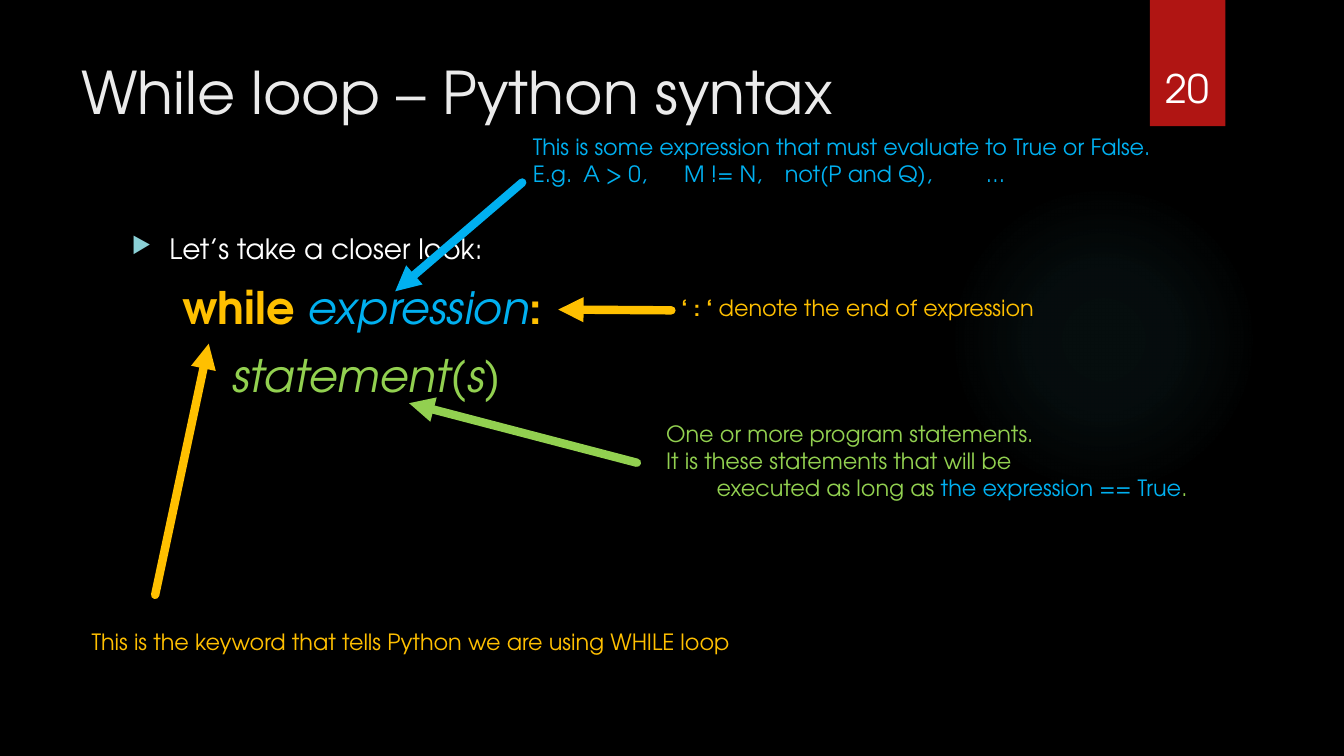
"""Build the slide that explains the syntax of the Python while loop."""
from lxml.etree import SubElement
from pptx import Presentation
from pptx.dml.color import RGBColor
from pptx.enum.shapes import MSO_CONNECTOR, MSO_SHAPE
from pptx.enum.text import MSO_ANCHOR, PP_ALIGN
from pptx.oxml import parse_xml
from pptx.oxml.ns import nsdecls, qn
from pptx.util import Cm, Pt

FONT = "TeX Gyre Adventor"
BLACK, WHITE, TITLE, RED = "000000", "FFFFFF", "EBEBEB", "B01513"
GOLD, BLUE, GREEN = "FFC000", "00B0F0", "92D050"
GLOW, BULLET = "50B9C1", "8AD0D6"
GLOW_STOPS = [(0, 7), (36, 6), (69, 0)]
TAB_STOPS = [1.27, 3.81, 6.35, 11.43]
GLOW_BOX = (23.9, 4.65, 7.82, 7.82)
BADGE_BOX = (28.98, 0, 1.9, 3.18)

# box, size, paragraphs of (indent, runs of (text, colour, style))
TITLE_TEXT = ((1.8, 1.27, 26.14, 3.89), 42, [(0, [("While loop – Python syntax", TITLE, "")])])
NUMBER_TEXT = ((28.75, 0.81, 2.34, 2.13), 28, [(0, [("20", WHITE, "")])])
BODY_TEXT = ((3.07, 5.72, 24.84, 11.66), 32, [
    (0.95, [("Let’s take a closer look:", WHITE, "")]),
    (1.27, [("while ", GOLD, "b"), ("expression", BLUE, "i"), (":", GOLD, "b")]),
    (2.54, [("statement(s)", GREEN, "i")]),
])
NOTES = [
    ((2.06, 15.7, 16.89, 0.94), 16, [
        (0, [("This is the keyword that tells Python we are using WHILE loop", GOLD, "")]),
    ]),
    ((13.18, 3.23, 16.36, 1.63), 16, [
        (0, [("This is some expression that must evaluate to True or False.", BLUE, "")]),
        (0, [("E.g. \tA > 0, \tM != N,\tnot(P and Q), \t…", BLUE, "")]),
    ]),
    ((16.54, 10.46, 14.12, 2.31), 16, [
        (0, [("One or more program statements.", GREEN, "")]),
        (0, [("It is these statements that will be", GREEN, "")]),
        (1.27, [("executed as long as ", GREEN, ""), ("the expression == True", BLUE, ""),
                (".", GREEN, "")]),
    ]),
    ((16.92, 7.29, 9.73, 0.94), 16, [
        (0, [("‘ : ‘", GOLD, "b"), (" denote the end of expression", GOLD, "")]),
    ]),
]
ARROWS = [
    ((3.91, 14.99), (5.26, 8.66), GOLD),
    ((16.05, 11.66), (10.31, 10.16), GREEN),
    ((13.16, 4.6), (9.96, 7.34), BLUE),
    ((16.92, 7.82), (14.07, 7.8), GOLD),
]


def paint(color_format, color):
    color_format.rgb = RGBColor.from_string(color)


def add_plain_shape(slide, kind, box):
    s = slide.shapes.add_shape(kind, *map(Cm, box))
    s.shadow.inherit = False
    s.line.fill.background()
    return s


def add_glow(slide):
    s = add_plain_shape(slide, MSO_SHAPE.OVAL, GLOW_BOX)
    stops = "".join(
        f'<a:gs pos="{pos * 1000}"><a:srgbClr val="{GLOW}">'
        f'<a:alpha val="{alpha * 1000}"/></a:srgbClr></a:gs>'
        for pos, alpha in GLOW_STOPS)
    s._element.spPr.insert(2, parse_xml(
        f'<a:gradFill {nsdecls("a")}><a:gsLst>{stops}</a:gsLst><a:path path="circle">'
        '<a:fillToRect l="50000" t="50000" r="50000" b="50000"/></a:path></a:gradFill>'))


def add_text(slide, box, size, paragraphs):
    tf = slide.shapes.add_textbox(*map(Cm, box)).text_frame
    tf.word_wrap = True
    for i, (indent, runs) in enumerate(paragraphs):
        p = tf.paragraphs[0] if i == 0 else tf.add_paragraph()
        p._p.get_or_add_pPr().set("marL", str(Cm(indent)))
        for text, color, style in runs:
            r = p.add_run()
            r.text = text
            r.font.name, r.font.size = FONT, Pt(size)
            r.font.bold, r.font.italic = style == "b", style == "i"
            paint(r.font.color, color)
    return tf


def add_bullet(p):
    pPr = p._p.get_or_add_pPr()
    pPr.set("indent", "-" + pPr.get("marL"))
    SubElement(SubElement(pPr, qn("a:buClr")), qn("a:srgbClr"), val=BULLET)
    SubElement(pPr, qn("a:buSzPct"), val="80000")
    SubElement(pPr, qn("a:buChar"), char="▶")


def add_tab_stops(p):
    tabs = SubElement(p._p.get_or_add_pPr(), qn("a:tabLst"))
    for stop in TAB_STOPS:
        SubElement(tabs, qn("a:tab"), pos=str(Cm(stop)), algn="l")


def add_arrow(slide, start, end, color):
    s = slide.shapes.add_connector(MSO_CONNECTOR.STRAIGHT, *map(Cm, start + end))
    s.line.width = Pt(6)
    s.line.fill.solid()
    paint(s.line.fill.fore_color, color)
    ln = s.line._get_or_add_ln()
    ln.set("cap", "rnd")
    SubElement(ln, qn("a:round"))
    SubElement(ln, qn("a:tailEnd"), type="triangle")
    SubElement(s._element.spPr, qn("a:effectLst"))


def main():
    prs = Presentation()
    prs.slide_width, prs.slide_height = Cm(33.87), Cm(19.05)
    slide = prs.slides.add_slide(prs.slide_layouts[6])
    slide.background.fill.solid()
    paint(slide.background.fill.fore_color, BLACK)

    add_glow(slide)
    badge = add_plain_shape(slide, MSO_SHAPE.RECTANGLE, BADGE_BOX)
    badge.fill.solid()
    paint(badge.fill.fore_color, RED)

    add_text(slide, *TITLE_TEXT)
    body = add_text(slide, *BODY_TEXT)
    for p in body.paragraphs:
        p.space_before = Pt(10)
    add_bullet(body.paragraphs[0])
    body.paragraphs[0].runs[0].font.size = Pt(20)

    number = add_text(slide, *NUMBER_TEXT)
    number.vertical_anchor = MSO_ANCHOR.BOTTOM
    number.paragraphs[0].alignment = PP_ALIGN.CENTER

    for note in NOTES:
        for p in add_text(slide, *note).paragraphs:
            if "\t" in p.text:
                add_tab_stops(p)
    for arrow in ARROWS:
        add_arrow(slide, *arrow)
    prs.save("out.pptx")


if __name__ == "__main__":
    main()
